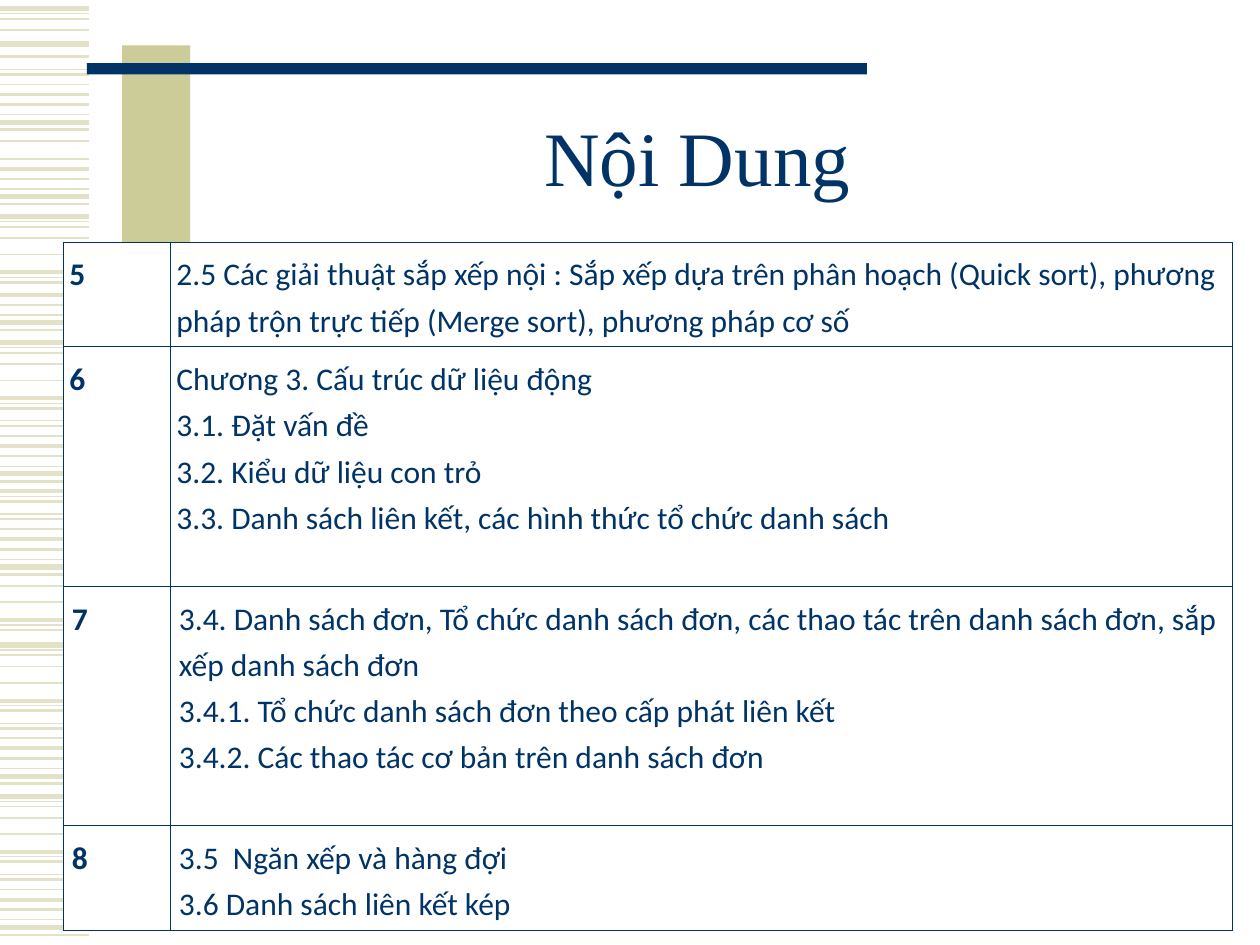
from dataclasses import dataclass

from lxml import etree
from pptx import Presentation
from pptx import util as u
from pptx.dml.color import RGBColor
from pptx.enum import shapes, text
from pptx.oxml import ns


@dataclass(frozen=True)
class Theme:
    navy: str = "003366"
    khaki: str = "CCCC99"
    stripe: str = "E3E2C7"
    white: str = "FFFFFF"
    title_font: str = "Times New Roman"
    body_font: str = "Calibri"
    title_size: float = 44
    body_size: float = 18
    border: float = 0.45


THEME = Theme()

STRIPE_PATTERN = [
    (0, 3), (0.04, 0.75), (0.08, 1), (0.17, 1),
    (0.3, 1), (0.44, 2.25), (0.48, 0.75), (0.52, 1.5),
    (0.62, 0.75), (0.66, 1.5), (0.74, 1), (0.82, 2.25),
    (0.9, 1.5), (0.98, 0.75), (1.04, 3), (1.1, 1.5),
]
STRIPE_BANDS = [
    (0.07, 0, 4), (0.35, 0, 1), (-0.07, 7, 16), (0.82, 4, 5),
    (0.52, 10, 16), (1.72, 0, 8), (1.52, 11, 16), (2.72, 0, 16),
    (3.46, 5, 16), (4.48, 3, 8), (5.12, 0, 16), (6.32, 0, 16),
]

COLUMN_WIDTHS = [0.85, 8.43]
CONTENT_ROWS = [
    ("5", 0.83, 0.05, [
        "2.5 Các giải thuật sắp xếp nội : Sắp xếp dựa trên phân hoạch (Quick sort), "
        "phương pháp trộn trực tiếp (Merge sort), phương pháp cơ số",
    ]),
    ("6", 1.9, 0.05, [
        "Chương 3. Cấu trúc dữ liệu động",
        "3.1. Đặt vấn đề",
        "3.2. Kiểu dữ liệu con trỏ",
        "3.3. Danh sách liên kết, các hình thức tổ chức danh sách",
    ]),
    ("7", 1.9, 0.07, [
        "3.4. Danh sách đơn, Tổ chức danh sách đơn, các thao tác trên danh sách đơn, "
        "sắp xếp danh sách đơn",
        "3.4.1. Tổ chức danh sách đơn theo cấp phát liên kết",
        "3.4.2. Các thao tác cơ bản trên danh sách đơn",
    ]),
    ("8", 0.83, 0.07, [
        "3.5  Ngăn xếp và hàng đợi",
        "3.6 Danh sách liên kết kép",
    ]),
]


def color(value):
    return RGBColor.from_string(value)


def write_text(frame, lines, *, font=THEME.body_font, size=THEME.body_size, bold=False,
               align=text.PP_ALIGN.LEFT, spacing=1.2):
    frame.word_wrap = True
    for index, line in enumerate(lines):
        paragraph = frame.paragraphs[0] if index == 0 else frame.add_paragraph()
        paragraph.alignment = align
        paragraph.line_spacing = spacing
        run = paragraph.add_run()
        run.text = line
        run.font.name = font
        run.font.size = u.Pt(size)
        run.font.bold = bold
        run.font.color.rgb = color(THEME.navy)


def add_stripe(slide, top, width):
    line = slide.shapes.add_connector(
        shapes.MSO_CONNECTOR.STRAIGHT, 0, u.Inches(top), u.Inches(0.71), u.Inches(top))
    line.line.color.rgb = color(THEME.stripe)
    line.line.width = u.Pt(width)
    etree.SubElement(line._element.spPr, ns.qn("a:effectLst"))


def add_stripes(slide):
    for base, first, stop in STRIPE_BANDS:
        for offset, width in STRIPE_PATTERN[first:stop]:
            add_stripe(slide, base + offset, width)


def add_bar(slide, left, top, width, height, fill):
    bar = slide.shapes.add_shape(
        shapes.MSO_SHAPE.RECTANGLE, *map(u.Inches, (left, top, width, height)))
    bar.shadow.inherit = False
    bar.fill.solid()
    bar.fill.fore_color.rgb = color(fill)
    bar.line.fill.background()


def set_title(slide, title_text):
    title = slide.shapes.title
    title.left, title.top, title.width, title.height = map(u.Inches, (1.5, 0.67, 8.07, 1.25))
    title.text_frame.vertical_anchor = text.MSO_ANCHOR.MIDDLE
    write_text(title.text_frame, [title_text], font=THEME.title_font,
               size=THEME.title_size, align=text.PP_ALIGN.CENTER, spacing=0.85)


def add_borders(cell):
    properties = cell._tc.get_or_add_tcPr()
    for index, side in enumerate(("lnL", "lnR", "lnT", "lnB")):
        border = etree.Element(ns.qn(f"a:{side}"), w=str(u.Pt(THEME.border)))
        fill = etree.SubElement(border, ns.qn("a:solidFill"))
        etree.SubElement(fill, ns.qn("a:srgbClr"), val=THEME.navy)
        properties.insert(index, border)


def fill_cell(cell, lines, inset, bold):
    cell.margin_left = cell.margin_right = u.Inches(inset)
    cell.margin_top = cell.margin_bottom = u.Inches(0.05)
    cell.vertical_anchor = text.MSO_ANCHOR.TOP
    cell.fill.solid()
    cell.fill.fore_color.rgb = color(THEME.white)
    add_borders(cell)
    write_text(cell.text_frame, lines, bold=bold)


def add_content_table(slide):
    height = sum(row[1] for row in CONTENT_ROWS)
    table = slide.shapes.add_table(
        len(CONTENT_ROWS), len(COLUMN_WIDTHS), u.Inches(0.5), u.Inches(1.92),
        u.Inches(sum(COLUMN_WIDTHS)), u.Inches(height)).table
    table.first_row = False
    table.horz_banding = False
    for column, width in zip(table.columns, COLUMN_WIDTHS):
        column.width = u.Inches(width)
    for index, (number, row_height, inset, topics) in enumerate(CONTENT_ROWS):
        table.rows[index].height = u.Inches(row_height)
        fill_cell(table.cell(index, 0), [number], inset, bold=True)
        fill_cell(table.cell(index, 1), topics, inset, bold=False)


def main():
    presentation = Presentation()
    presentation.slide_width = u.Inches(10)
    presentation.slide_height = u.Inches(7.5)
    slide = presentation.slides.add_slide(presentation.slide_layouts[5])
    add_stripes(slide)
    add_bar(slide, 0.97, 0.36, 0.54, 1.59, THEME.khaki)
    add_bar(slide, 0.69, 0.5, 6.19, 0.09, THEME.navy)
    set_title(slide, "Nội Dung")
    add_content_table(slide)
    presentation.save("out.pptx")


if __name__ == "__main__":
    main()
